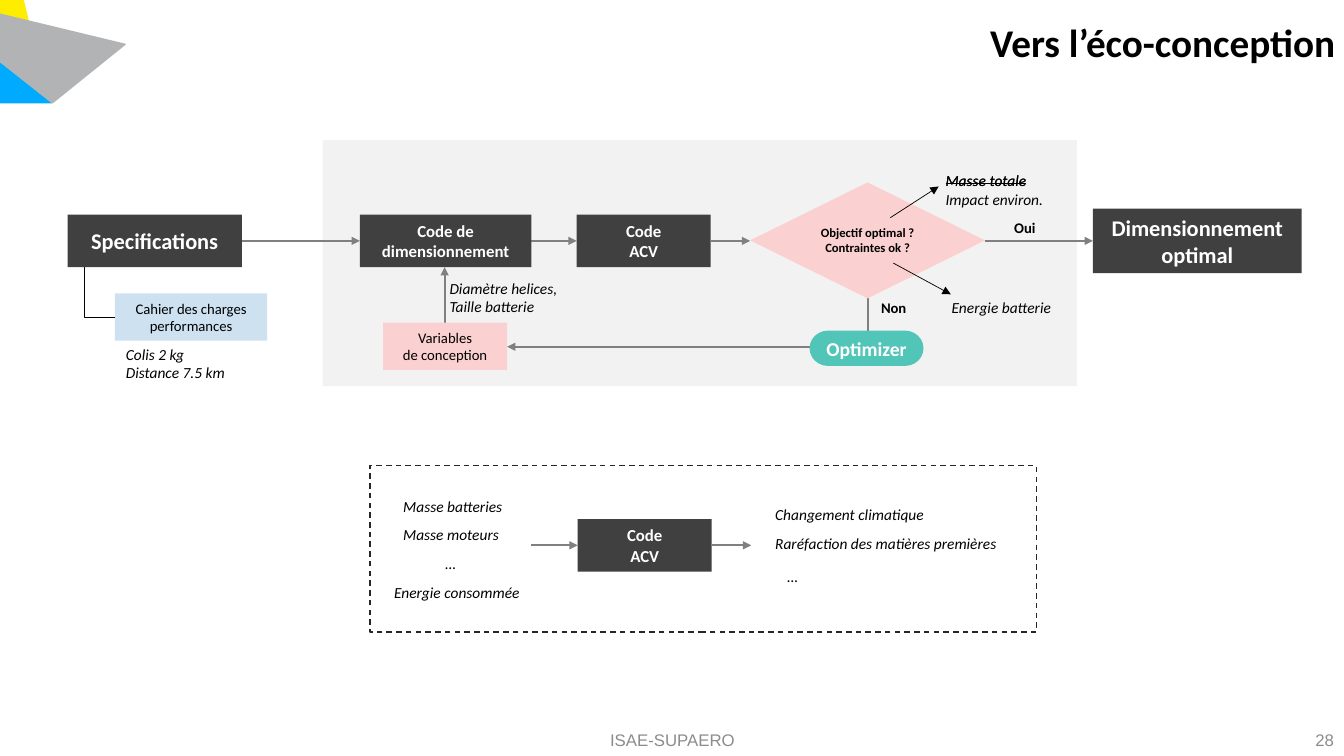
from lxml import etree
from pptx import Presentation
from pptx.dml.color import RGBColor
from pptx.enum import dml, shapes, text
from pptx.oxml.ns import qn
from pptx.util import Inches, Pt

THEME = {
    "font": "Calibri", "footer_font": "Arial",
    "black": "000000", "white": "FFFFFF", "footer": "8C8C8C", "arrow": "808080",
    "dark": "404040", "panel": "F2F2F2", "dash": "262626",
    "pink": "FAD1D0", "teal": "51C6B8", "blue": "9DC5E3",
    "title": 28, "large": 16, "medium": 14, "code": 12, "note": 11, "label": 10.5, "test": 9,
}
KIND = shapes.MSO_SHAPE
LEFT, CENTER, RIGHT = text.PP_ALIGN.LEFT, text.PP_ALIGN.CENTER, text.PP_ALIGN.RIGHT

# Content: corner ornament as (colour, outline points)
ORNAMENT = [
    ("FFED00", [(0, 0), (0.01, 0.15), (0.28, 0.21), (0.23, 0)]),
    ("00ABFF", [(0, 0.59), (0, 1.02), (0.51, 1.02)]),
    ("B1B3B4", [(0, 0.14), (0, 0.61), (0.52, 1.02), (1.24, 0.44)]),
]
PANEL = (3.2, 1.39, 7.48, 2.44)
ACV_FRAME = (3.67, 4.62, 6.61, 1.65)

# Content: steps as (place, shape, fill, size, bold, text colour, lines)
ACV = ["Code", "ACV"]
STEPS = [
    ((0.67, 2.13, 1.73, 0.52), KIND.RECTANGLE, "dark", "large", True, "white", ["Specifications"]),
    ((3.57, 2.13, 1.7, 0.52), KIND.RECTANGLE, "dark", "code", True, "white",
     ["Code de", "dimensionnement"]),
    ((5.72, 2.13, 1.33, 0.52), KIND.RECTANGLE, "dark", "code", True, "white", ACV),
    ((5.73, 5.15, 1.33, 0.52), KIND.RECTANGLE, "dark", "code", True, "white", ACV),
    ((10.84, 2.07, 2.07, 0.64), KIND.RECTANGLE, "dark", "large", True, "white",
     ["Dimensionnement optimal"]),
    ((8.03, 3.28, 1.13, 0.35), KIND.FLOWCHART_TERMINATOR, "teal", "medium", True, "white",
     ["Optimizer"]),
    ((7.44, 1.81, 2.33, 1.15), KIND.FLOWCHART_DECISION, "pink", "test", True, "black",
     ["Objectif optimal ?", "Contraintes ok ?"]),
    ((1.14, 2.91, 1.51, 0.47), KIND.RECTANGLE, "blue", "label", False, "black",
     ["Cahier des charges", "performances"]),
    ((3.8, 3.2, 1.23, 0.47), KIND.RECTANGLE, "pink", "label", False, "black",
     ["Variables", "de conception"]),
]
FLOW_Y, ACV_Y = 2.39, 5.41
FLOW_ARROWS = [
    ((2.4, FLOW_Y), (3.57, FLOW_Y)), ((5.26, FLOW_Y), (5.72, FLOW_Y)),
    ((7.05, FLOW_Y), (7.44, FLOW_Y)), ((9.77, FLOW_Y), (10.84, FLOW_Y)),
    ((4.41, 3.2), (4.41, 2.65)),
    ((5.27, ACV_Y), (5.73, ACV_Y)), ((7.06, ACV_Y), (7.45, ACV_Y)),
]
CRITERIA_ARROWS = [((8.83, 2.16), (9.31, 1.85)), ((8.86, 2.61), (9.43, 2.92))]

# Content: italic notes and bold answers as (place, lines)
NOTES = [
    ((4.36, 2.72, 1.28, 0.47), ["Diamètre helices,", "Taille batterie"]),
    ((9.28, 1.65, 1.01, 0.29), ["Masse totale"]),
    ((9.34, 2.91, 1.2, 0.29), ["Energie batterie"]),
    ((1.15, 3.37, 1.2, 0.47), ["Colis 2 kg", "Distance 7.5 km"]),
    ((7.59, 4.96, 1.72, 0.29), ["Changement climatique"]),
    ((7.59, 5.25, 2.41, 0.29), ["Raréfaction des matières premières"]),
    ((7.71, 5.58, 0.32, 0.29), ["…"]),
]
ACV_INPUTS = [(3.9, 1.19, "Masse batteries"), (3.9, 1.16, "Masse moteurs"),
              (4.32, 0.32, "…"), (3.81, 1.46, "Energie consommée")]
INPUT_TOP, INPUT_STEP = 4.88, 0.285
ANSWERS = [((8.64, 2.92, 0.46, 0.28), ["Non"]), ((9.96, 2.12, 0.42, 0.28), ["Oui"])]

prs = Presentation()
prs.slide_width, prs.slide_height = Inches(13.33), Inches(7.5)
slide = prs.slides.add_slide(prs.slide_layouts[6])


def rgb(name):
    return RGBColor.from_string(THEME.get(name, name))


def write(shape, lines, size, color="black", bold=False, italic=False, align=LEFT,
          font="font", wrap=True, middle=False):
    frame = shape.text_frame
    frame.word_wrap = wrap
    frame.vertical_anchor = text.MSO_ANCHOR.MIDDLE if middle else text.MSO_ANCHOR.TOP
    frame.text = "\n".join(lines)
    for paragraph in frame.paragraphs:
        paragraph.alignment = align
        for run in paragraph.runs:
            run.font.name, run.font.size = THEME[font], Pt(THEME[size])
            run.font.bold, run.font.italic = bold, italic
            run.font.color.rgb = rgb(color)
    return frame


def label(place, lines, size, **style):
    return write(slide.shapes.add_textbox(*map(Inches, place)), lines, size, **style)


def block(place, kind=KIND.RECTANGLE, fill=None):
    shape = slide.shapes.add_shape(kind, *map(Inches, place))
    shape.shadow.inherit = False
    shape.line.fill.background()
    if fill:
        shape.fill.solid()
        shape.fill.fore_color.rgb = rgb(fill)
    else:
        shape.fill.background()
    return shape


def connect(start, end, color="arrow", width=1.5, head=True, kind=shapes.MSO_CONNECTOR.STRAIGHT):
    link = slide.shapes.add_connector(kind, *map(Inches, (*start, *end)))
    link.line.color.rgb, link.line.width = rgb(color), Pt(width)
    if head:
        etree.SubElement(link.line._get_or_add_ln(), qn("a:tailEnd"), type="triangle")
    etree.SubElement(link._element.spPr, qn("a:effectLst"))
    return link


def elbow(start, end, turn, **style):
    """One-corner connector running up-left or down-left, turned by 90 or 180 degrees."""
    w, h = abs(end[0] - start[0]), abs(end[1] - start[1])
    if turn == 90:
        w, h = h, w
    mid_x, mid_y = (start[0] + end[0]) / 2, (start[1] + end[1]) / 2
    link = connect((mid_x - w / 2, mid_y - h / 2), (mid_x + w / 2, mid_y + h / 2),
                   kind=shapes.MSO_CONNECTOR.ELBOW, **style)
    link._element.spPr.find(qn("a:prstGeom")).set("prst", "bentConnector2")
    link._element.spPr.find(qn("a:xfrm")).set("rot", str(turn * 60000))


# Corner ornament
for color, points in ORNAMENT:
    corners = [(Inches(x), Inches(y)) for x, y in points]
    builder = slide.shapes.build_freeform(*corners[0])
    builder.add_line_segments(corners[1:], close=True)
    facet = builder.convert_to_shape()
    facet.shadow.inherit = False
    facet.fill.solid()
    facet.fill.fore_color.rgb = facet.line.color.rgb = rgb(color)
    facet.line.width = Pt(1)

# Panel, title and footer
block(PANEL, fill="panel")
title = label((0.72, 0, 12.62, 0.88), ["Vers l’éco-conception"], "title", bold=True,
              align=RIGHT, middle=True)
title.paragraphs[0].line_spacing = 0.9
for place, words, align in [((4.42, 7.21, 4.5, 0.26), "ISAE-SUPAERO", CENTER),
                            ((10.33, 7.21, 3, 0.26), "28", RIGHT)]:
    label(place, [words], "code", color="footer", font="footer_font", align=align, middle=True)

# Flow arrows, then the steps they join
for start, end in FLOW_ARROWS:
    connect(start, end)
elbow((8.61, 2.96), (5.03, 3.44), 90)
elbow((1.14, 3.15), (0.84, 2.65), 180, color="black", width=0.5, head=False)
for place, kind, fill, size, bold, color, lines in STEPS:
    step = block(place, kind, fill)
    frame = write(step, lines, size, color, bold, align=CENTER, middle=True)
    frame.margin_left = frame.margin_right = 0
    if fill == "blue":
        tint = step._element.spPr.find(qn("a:solidFill"))[0]
        etree.SubElement(tint, qn("a:alpha"), val="50000")
for start, end in CRITERIA_ARROWS:
    connect(start, end, "black", 0.5)

# Notes, answers and assessment inputs
criteria = label((9.28, 1.65, 1.18, 0.47), ["Masse totale", "Impact environ."], "note",
                 italic=True, wrap=False)
criteria.paragraphs[0].runs[0].font._element.set("strike", "sngStrike")
inputs = [((x, INPUT_TOP + i * INPUT_STEP, w, 0.29), [words])
          for i, (x, w, words) in enumerate(ACV_INPUTS)]
for place, lines in NOTES + inputs:
    label(place, lines, "note", italic=True, wrap=False)
for place, lines in ANSWERS:
    label(place, lines, "label", bold=True, wrap=False)

# Dashed frame around the assessment detail
outline = block(ACV_FRAME).line
outline.color.rgb, outline.width = rgb("dash"), Pt(1)
outline.dash_style = dml.MSO_LINE.DASH

prs.save("out.pptx")
